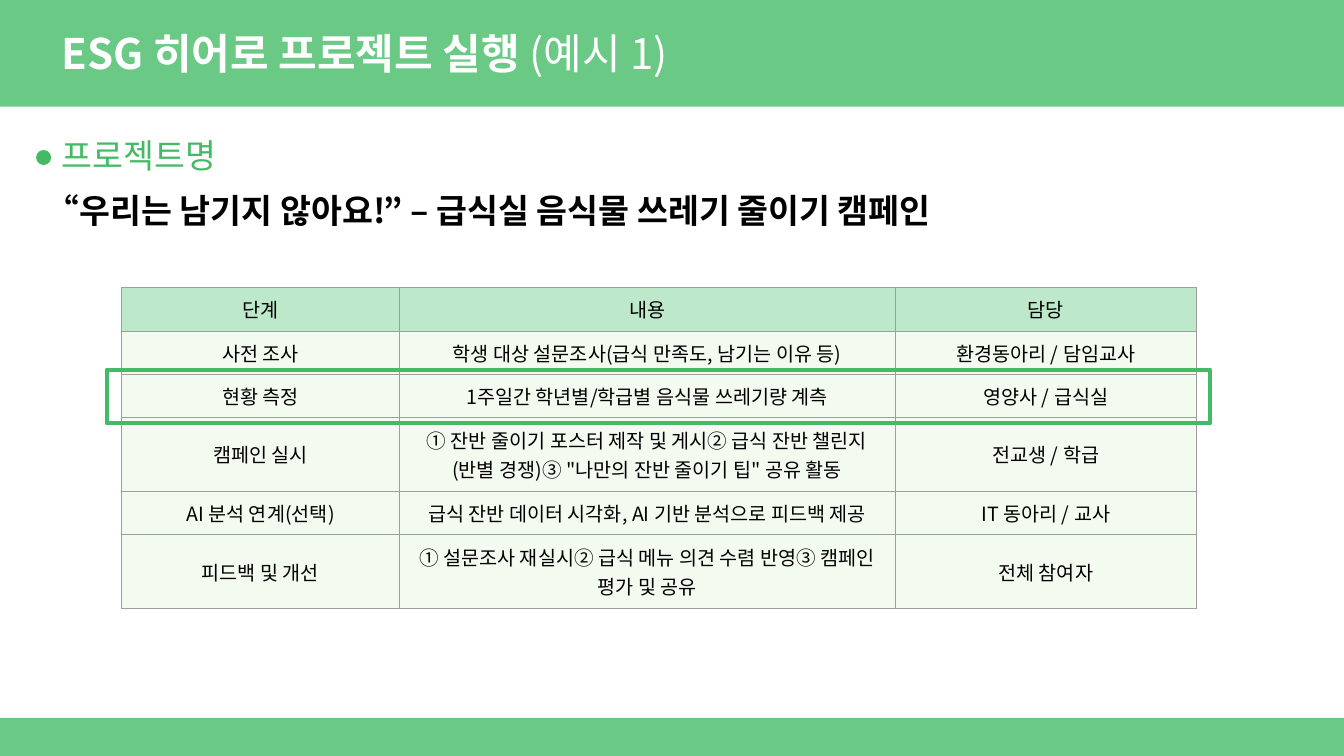
from lxml import etree
from pptx import Presentation
from pptx import util as u
from pptx.dml.color import RGBColor
from pptx.enum import shapes, text
from pptx.oxml import ns

COLORS = {
    "band": "6AC985", "accent": "44BA66", "head": "BEE8CA", "body": "F3FAF0",
    "grid": "9E9E9E", "black": "000000", "white": "FFFFFF",
}
FONT = "Noto Sans CJK KR"


def style(paragraph, size, color, bold=None):
    font = paragraph.font
    font.name, font.size, font.bold = FONT, u.Pt(size), bold
    font.color.rgb = RGBColor.from_string(COLORS[color])
    defaults = paragraph._p.pPr.find(ns.qn("a:defRPr"))
    etree.SubElement(defaults, ns.qn("a:ea"), typeface=FONT)


def add_shape(kind, left, top, width, height, fill=None):
    shape = slide.shapes.add_shape(kind, u.Cm(left), u.Cm(top), u.Cm(width), u.Cm(height))
    shape.shadow.inherit = False
    if fill:
        shape.fill.solid()
        shape.fill.fore_color.rgb = RGBColor.from_string(COLORS[fill])
        shape.line.fill.background()
    else:
        shape.fill.background()
    return shape


deck = Presentation()
deck.slide_width, deck.slide_height = u.Cm(33.87), u.Cm(19.05)
slide = deck.slides.add_slide(deck.slide_layouts[6])

for top, height in [(0, 2.69), (18.09, 0.96)]:
    add_shape(shapes.MSO_SHAPE.RECTANGLE, 0, top, 33.87, height, "band")

STEPS = [
    ("단계", "내용", "담당"),
    ("사전 조사", "학생 대상 설문조사(급식 만족도, 남기는 이유 등)", "환경동아리 / 담임교사"),
    ("현황 측정", "1주일간 학년별/학급별 음식물 쓰레기량 계측", "영양사 / 급식실"),
    ("캠페인 실시", "① 잔반 줄이기 포스터 제작 및 게시② 급식 잔반 챌린지(반별 경쟁)③ \"나만의 잔반 줄이기 팁\" 공유 활동", "전교생 / 학급"),
    ("AI 분석 연계(선택)", "급식 잔반 데이터 시각화, AI 기반 분석으로 피드백 제공", "IT 동아리 / 교사"),
    ("피드백 및 개선", "① 설문조사 재실시② 급식 메뉴 의견 수렴 반영③ 캠페인 평가 및 공유", "전체 참여자"),
]
plan = slide.shapes.add_table(6, 3, u.Cm(3.07), u.Cm(7.25), u.Cm(27.08), u.Cm(8.08)).table
for column, width in zip(plan.columns, [6.99, 12.5, 7.59]):
    column.width = u.Cm(width)
for row, height in zip(plan.rows, [1.09, 1.09, 1.09, 1.86, 1.09, 1.86]):
    row.height = u.Cm(height)

for r, step in enumerate(STEPS):
    for c, words in enumerate(step):
        cell = plan.cell(r, c)
        cell.text = words
        cell.vertical_anchor = text.MSO_ANCHOR.MIDDLE
        cell.fill.solid()
        cell.fill.fore_color.rgb = RGBColor.from_string(COLORS["body" if r else "head"])
        paragraph = cell.text_frame.paragraphs[0]
        paragraph.alignment = text.PP_ALIGN.CENTER
        style(paragraph, 14, "black", False)
        for i, side in enumerate(["lnL", "lnR", "lnT", "lnB"]):
            border = etree.Element(ns.qn(f"a:{side}"), w=str(u.Pt(0.75)))
            paint = etree.SubElement(border, ns.qn("a:solidFill"))
            etree.SubElement(paint, ns.qn("a:srgbClr"), val=COLORS["grid"])
            cell._tc.get_or_add_tcPr().insert(i, border)

highlight = add_shape(shapes.MSO_SHAPE.RECTANGLE, 2.69, 9.32, 27.81, 1.35)
highlight.line.color.rgb = RGBColor.from_string(COLORS["accent"])
highlight.line.width = u.Pt(3)

middle, upper = text.MSO_ANCHOR.MIDDLE, text.MSO_ANCHOR.TOP
LINES = [
    (1.3, 0.56, 29.21, 1.68, middle, 0.9, 30, "white", [("ESG 히어로 프로젝트 실행 ", True), ("(예시 1)", False)]),
    (0.91, 4.67, 27.76, 1.27, upper, 1.0, 24, "black", [("“우리는 남기지 않아요!” – 급식실 음식물 쓰레기 줄이기 캠페인", True)]),
    (1.3, 3.12, 29.21, 1.68, middle, 0.9, 24, "accent", [("프로젝트명", False)]),
]
for left, top, width, height, anchor, spacing, size, color, parts in LINES:
    frame = slide.shapes.add_textbox(u.Cm(left), u.Cm(top), u.Cm(width), u.Cm(height)).text_frame
    frame.word_wrap = True
    frame.vertical_anchor = anchor
    paragraph = frame.paragraphs[0]
    paragraph.line_spacing = spacing
    style(paragraph, size, color)
    for words, bold in parts:
        run = paragraph.add_run()
        run.text = words
        run.font.bold = bold

add_shape(shapes.MSO_SHAPE.OVAL, 0.91, 3.78, 0.38, 0.38, "accent")

deck.save("out.pptx")
